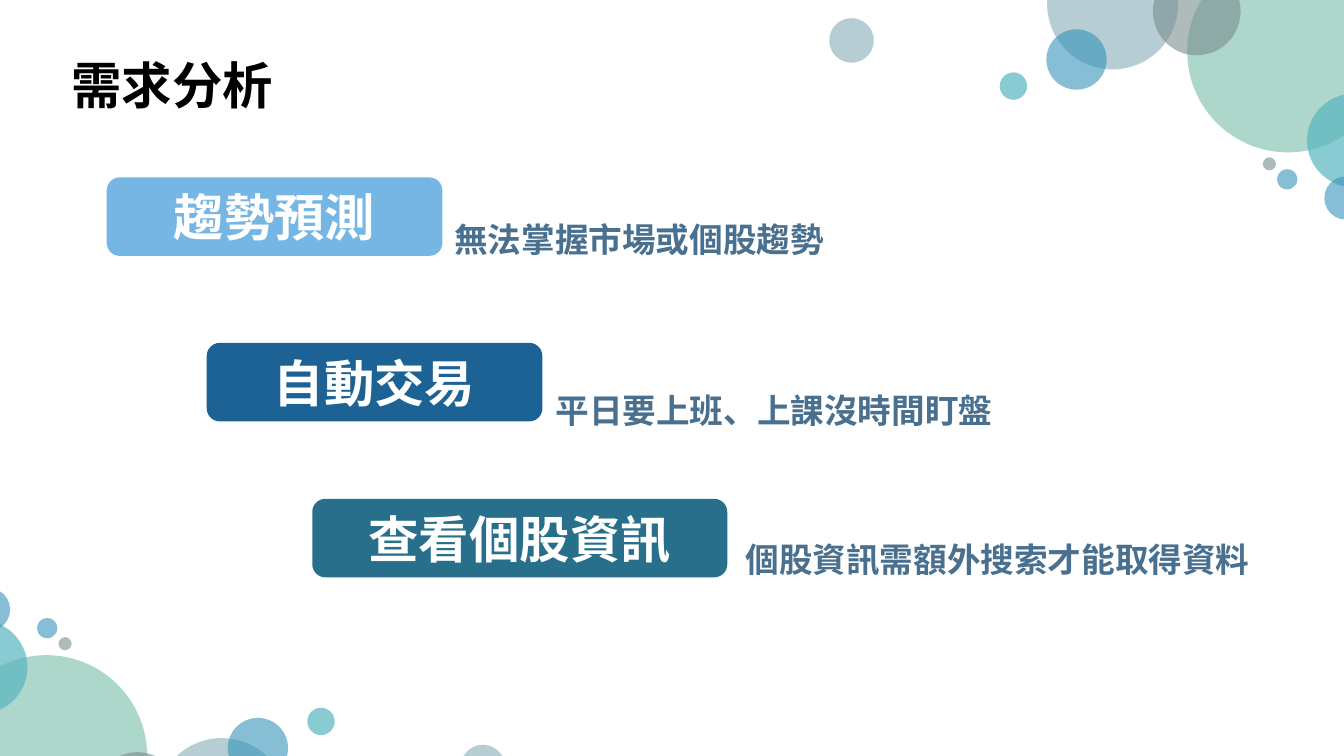
"""Build the requirements analysis slide with three staggered needs and bubble corners."""
from typing import NamedTuple

from lxml.etree import SubElement
from pptx import Presentation
from pptx.dml.color import RGBColor
from pptx.enum.shapes import MSO_SHAPE as Preset
from pptx.enum.text import MSO_ANCHOR as Anchor, MSO_AUTO_SIZE as AutoSize, PP_ALIGN as Align
from pptx.oxml.ns import qn
from pptx.shapes.autoshape import Shape
from pptx.slide import Slide
from pptx.text.text import TextFrame
from pptx.util import Cm, Pt

FONT = "Noto Sans CJK SC"
COLORS = {
    "mist": "84ACB6",
    "green": "75BDA7",
    "gray": "7A8C8E",
    "blue": "3494BA",
    "teal": "58B6C0",
    "sky": "75B6E5",
    "navy": "1D6294",
    "petrol": "276F8B",
    "slate": "4A7090",
    "white": "FFFFFF",
    "black": "000000",
}
MIRROR_X, MIRROR_Y = 33.63, 20.35
LABEL_HEIGHT, NOTE_HEIGHT = 1.98, 1.6


class Bubble(NamedTuple):
    center_x: float
    center_y: float
    diameter: float
    color: str
    opacity: int = 60

    def mirrored(self) -> "Bubble":
        return self._replace(center_x=MIRROR_X - self.center_x, center_y=MIRROR_Y - self.center_y)


class Need(NamedTuple):
    label: str
    color: str
    left: float
    top: float
    width: float
    note: str
    note_left: float
    note_top: float
    note_width: float


BUBBLES = [
    Bubble(28.04, 0.1, 3.3, "mist"),
    Bubble(32.46, 1.3, 5.08, "green"),
    Bubble(30.16, 0.29, 2.21, "gray"),
    Bubble(27.13, 1.5, 1.52, "blue"),
    Bubble(34.12, 3.54, 2.36, "teal", 70),
    Bubble(25.54, 2.17, 0.69, "teal", 70),
    Bubble(33.92, 4.99, 1.09, "blue"),
    Bubble(32.44, 4.52, 0.51, "blue"),
    Bubble(31.99, 4.13, 0.33, "gray"),
    Bubble(21.46, 1.02, 1.12, "mist"),
]
NEEDS = [
    Need("趨勢預測", "sky", 2.69, 4.47, 8.46, "無法掌握市場或個股趨勢", 11.15, 5.08, 9.91),
    Need("自動交易", "navy", 5.21, 8.64, 8.46, "平日要上班、上課沒時間盯盤", 13.69, 9.4, 11.63),
    Need("查看個股資訊", "petrol", 7.87, 12.57, 10.46, "個股資訊需額外搜索才能取得資料", 18.47, 13.16, 13.34),
]


def add_filled(slide: Slide, preset: Preset, left: float, top: float,
               width: float, height: float, color: str) -> Shape:
    shape = slide.shapes.add_shape(preset, Cm(left), Cm(top), Cm(width), Cm(height))
    shape.shadow.inherit = False
    shape.fill.solid()
    shape.fill.fore_color.rgb = RGBColor.from_string(COLORS[color])
    shape.line.fill.background()
    return shape


def add_bubble(slide: Slide, bubble: Bubble) -> None:
    radius = bubble.diameter / 2
    shape = add_filled(slide, Preset.OVAL, bubble.center_x - radius, bubble.center_y - radius,
                       bubble.diameter, bubble.diameter, bubble.color)
    fill_color = shape._element.spPr.find(qn("a:solidFill")).find(qn("a:srgbClr"))
    SubElement(fill_color, qn("a:alpha"), val=str(bubble.opacity * 1000))


def write(frame: TextFrame, text: str, size: int, color: str, align: Align,
          spacing: float = 1.0) -> None:
    paragraph = frame.paragraphs[0]
    paragraph.text = text
    paragraph.alignment = align
    paragraph.line_spacing = spacing
    font = paragraph.font
    font.size = Pt(size)
    font.bold = True
    font.color.rgb = RGBColor.from_string(COLORS[color])
    font.name = FONT
    defaults = paragraph._p.pPr.find(qn("a:defRPr"))
    SubElement(defaults, qn("a:ea"), typeface=FONT)


def add_text(slide: Slide, left: float, top: float, width: float, height: float) -> TextFrame:
    frame = slide.shapes.add_textbox(Cm(left), Cm(top), Cm(width), Cm(height)).text_frame
    frame.word_wrap = False
    frame.auto_size = AutoSize.SHAPE_TO_FIT_TEXT
    return frame


def add_need(slide: Slide, need: Need) -> None:
    label = add_filled(slide, Preset.ROUNDED_RECTANGLE, need.left, need.top,
                       need.width, LABEL_HEIGHT, need.color)
    label.text_frame.vertical_anchor = Anchor.MIDDLE
    write(label.text_frame, need.label, 36, "white", Align.CENTER)
    note = add_text(slide, need.note_left, need.note_top, need.note_width, NOTE_HEIGHT)
    write(note, need.note, 24, "slate", Align.CENTER, 1.3)


def main() -> None:
    presentation = Presentation()
    presentation.slide_width, presentation.slide_height = Cm(33.87), Cm(19.05)
    slide = presentation.slides.add_slide(presentation.slide_layouts[6])
    for bubble in BUBBLES + [bubble.mirrored() for bubble in BUBBLES]:
        add_bubble(slide, bubble)
    for need in NEEDS:
        add_need(slide, need)
    write(add_text(slide, 1.55, 1.24, 5.64, 1.8), "需求分析", 36, "black", Align.LEFT)
    presentation.save("out.pptx")


if __name__ == "__main__":
    main()
